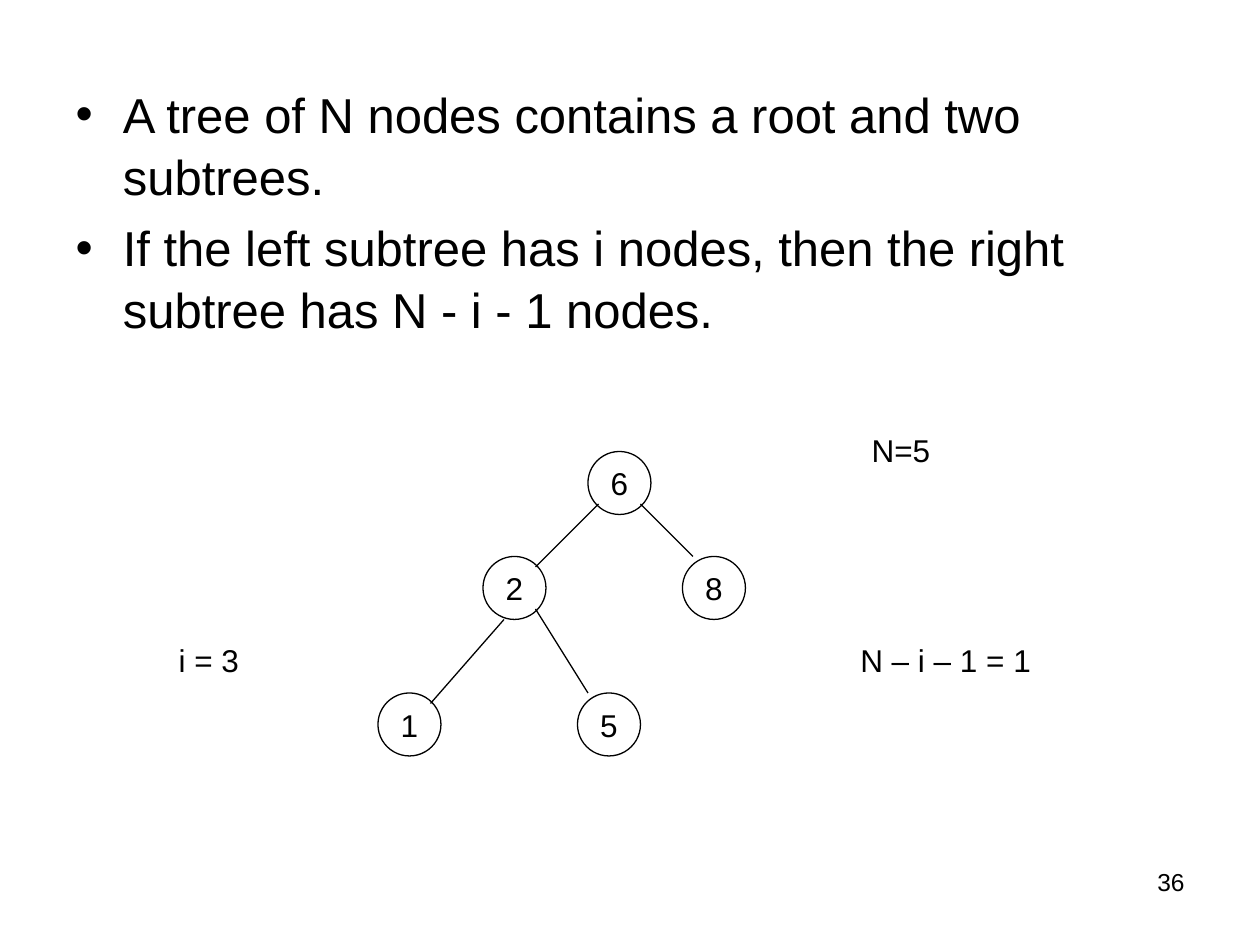
"""Build a slide on the node counts of a binary tree."""
from lxml.etree import SubElement as Sub
from pptx import Presentation
from pptx.dml.color import RGBColor as Rgb
from pptx.enum.shapes import MSO_CONNECTOR as Link, MSO_SHAPE as Kind
from pptx.enum.text import MSO_ANCHOR as Anchor, MSO_AUTO_SIZE as Fit, PP_ALIGN as Align
from pptx.oxml.ns import qn
from pptx.util import Pt

COLORS = {"ink": "000000", "page": "FFFFFF"}
POINTS = [
    "A tree of N nodes contains a root and two subtrees.",
    "If the left subtree has i nodes, then the right subtree has N - i - 1 nodes.",
]
NODES = [("6", 354, 276), ("2", 294, 336), ("8", 408, 336), ("1", 234, 414), ("5", 348, 414)]
EDGES = [(342, 288, 306, 324), (288, 354, 246, 402), (366, 288, 396, 318), (306, 348, 336, 396)]
LABELS = [("N=5", 491, 243, 48), ("i = 3", 95, 363, 49), ("N – i – 1 = 1", 484.5, 363, 112)]
SIZE = 36


def color(name):
    return Rgb.from_string(COLORS[name])


def style(para, size, align=Align.LEFT):
    para.alignment = align
    para.font.name = "Arial"
    para.font.size = Pt(size)
    para.font.color.rgb = color("ink")


def outline(line):
    line.color.rgb = color("ink")
    line.width = Pt(0.75)


def add_body(slide):
    body = slide.placeholders[1]
    body.left, body.top, body.width, body.height = Pt(36), Pt(43), Pt(648), Pt(192)
    frame = body.text_frame
    frame.auto_size = Fit.NONE
    frame.vertical_anchor = Anchor.TOP
    frame.text = "\n".join(POINTS)
    for i, para in enumerate(frame.paragraphs):
        props = para._p.get_or_add_pPr()
        props.set("marL", str(Pt(27)))
        props.set("indent", str(Pt(-27)))
        Sub(props, qn("a:buChar"), char="•")
        style(para, 28)
        para.line_spacing = 1.05
        para.space_before = Pt(5.6 if i else 0)


def add_node(slide, text, x, y):
    node = slide.shapes.add_shape(
        Kind.OVAL, Pt(x - SIZE / 2), Pt(y - SIZE / 2), Pt(SIZE), Pt(SIZE))
    node.shadow.inherit = False
    node.fill.background()
    outline(node.line)
    frame = node.text_frame
    frame.word_wrap = False
    frame.vertical_anchor = Anchor.MIDDLE
    frame.text = text
    style(frame.paragraphs[0], 18, Align.CENTER)


def add_edge(slide, *ends):
    edge = slide.shapes.add_connector(Link.STRAIGHT, *map(Pt, ends))
    Sub(edge._element.spPr, qn("a:effectLst"))
    outline(edge.line)


def add_label(slide, text, x, y, width):
    box = slide.shapes.add_textbox(Pt(x), Pt(y), Pt(width), Pt(29))
    frame = box.text_frame
    frame.word_wrap = False
    frame.auto_size = Fit.SHAPE_TO_FIT_TEXT
    frame.text = text
    style(frame.paragraphs[0], 18)


def add_number(slide, text):
    box = slide.shapes.add_textbox(Pt(516), Pt(492), Pt(168), Pt(37.5))
    frame = box.text_frame
    frame.word_wrap = True
    frame.text = text
    style(frame.paragraphs[0], 14, Align.RIGHT)


def main():
    deck = Presentation()
    deck.slide_width, deck.slide_height = Pt(720), Pt(540)
    slide = deck.slides.add_slide(deck.slide_layouts[1])
    slide.background.fill.solid()
    slide.background.fill.fore_color.rgb = color("page")
    title = slide.shapes.title._element
    title.getparent().remove(title)
    add_number(slide, "36")
    add_body(slide)
    for node in NODES:
        add_node(slide, *node)
    for edge in EDGES:
        add_edge(slide, *edge)
    for label in LABELS:
        add_label(slide, *label)
    deck.save("out.pptx")


if __name__ == "__main__":
    main()
